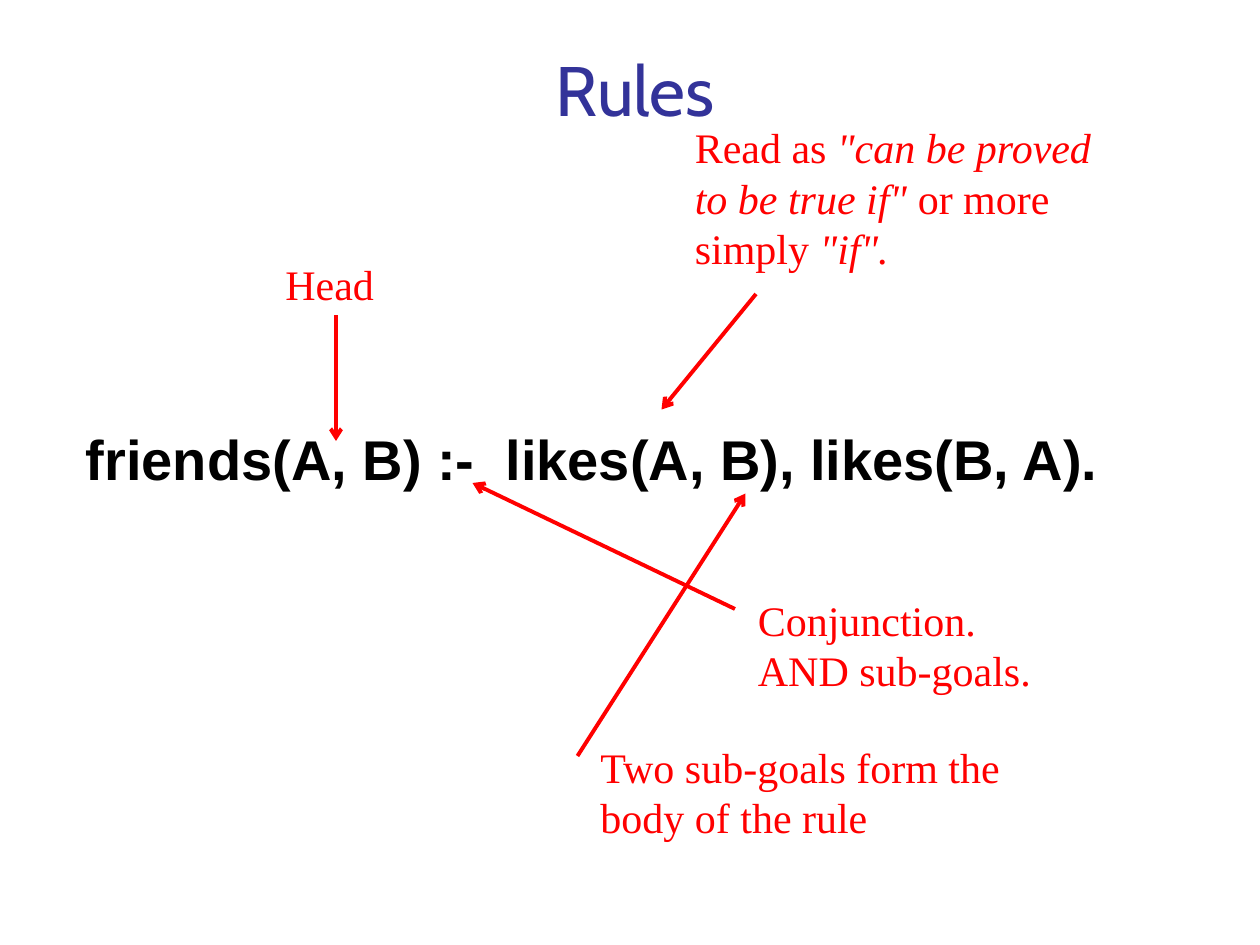
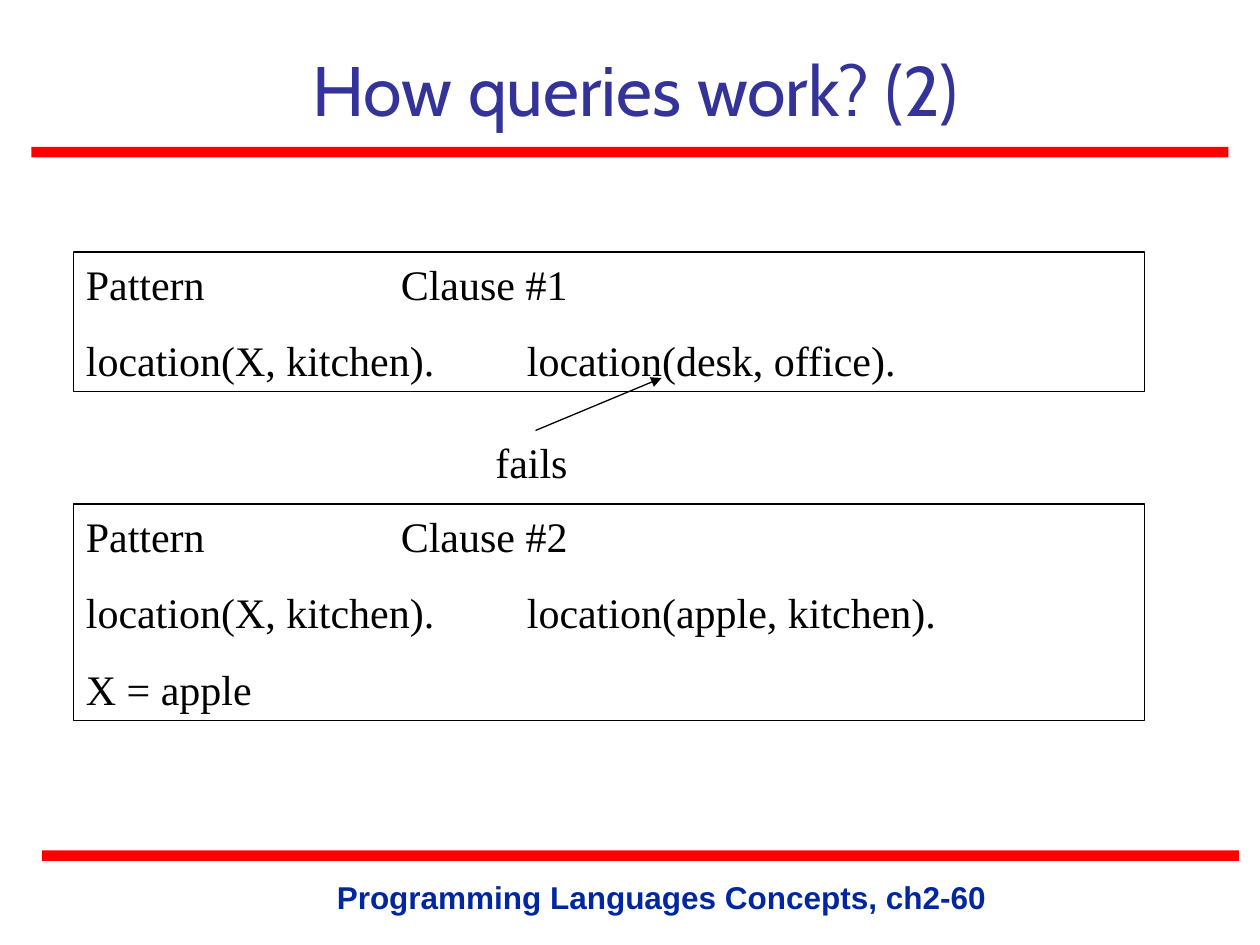
import pptx
import pptx.util
import pptx.dml.color
import pptx.enum.shapes
import pptx.enum.text
import pptx.oxml.ns
import lxml.etree

RED = pptx.dml.color.RGBColor(0xFF, 0x00, 0x00)
BLACK = pptx.dml.color.RGBColor(0x00, 0x00, 0x00)
INDIGO = pptx.dml.color.RGBColor(0x33, 0x33, 0x99)
NAVY = pptx.dml.color.RGBColor(0x00, 0x27, 0x9F)

ALIGN = pptx.enum.text.PP_ALIGN
ANCHOR = pptx.enum.text.MSO_ANCHOR
SHAPE = pptx.enum.shapes.MSO_SHAPE
COLUMNS, ROWS = 120, 90

TITLE = dict(name="Cabin", size=40, color=INDIGO)
CODE = dict(name="Arial", size=32, color=BLACK, bold=True)
FOOTER = dict(name="Arial", size=18, color=NAVY, bold=True)
NOTE = dict(name="Times New Roman", size=24, color=RED)
CLAUSE = dict(NOTE, color=BLACK)


class Deck:
    def __init__(self):
        self.presentation = pptx.Presentation()
        self.presentation.slide_width = pptx.util.Inches(10)
        self.presentation.slide_height = pptx.util.Inches(7.5)
        self.slide = None

    def add_slide(self, title):
        self.slide = self.presentation.slides.add_slide(self.presentation.slide_layouts[6])
        self.text((15, 3, 91, 10), [title], TITLE, align=ALIGN.CENTER, anchor=ANCHOR.BOTTOM)

    def scale(self, *lengths):
        units = (self.presentation.slide_width / COLUMNS, self.presentation.slide_height / ROWS)
        return [round(length * units[index % 2]) for index, length in enumerate(lengths)]

    def fill_text(self, shape, paragraphs, style, space=0, align=ALIGN.LEFT, anchor=ANCHOR.TOP, hanging=0):
        frame = shape.text_frame
        frame.word_wrap = True
        frame.vertical_anchor = anchor
        for index, content in enumerate(paragraphs):
            paragraph = frame.paragraphs[0] if index == 0 else frame.add_paragraph()
            paragraph.alignment = align
            paragraph.space_before = pptx.util.Pt(space)
            if hanging:
                indent = pptx.util.Inches(hanging)
                properties = paragraph._p.get_or_add_pPr()
                properties.set("marL", str(indent))
                properties.set("indent", str(-indent))
            parts = [content] if isinstance(content, str) else content
            for position, part in enumerate(parts):
                run = paragraph.add_run()
                run.text = part
                formats = dict(style, size=pptx.util.Pt(style["size"]), italic=position % 2 == 1)
                run.font.color.rgb = formats.pop("color")
                for name, value in formats.items():
                    setattr(run.font, name, value)

    def text(self, place, paragraphs, style, **layout):
        self.fill_text(self.slide.shapes.add_textbox(*self.scale(*place)), paragraphs, style, **layout)

    def rectangle(self, place):
        shape = self.slide.shapes.add_shape(SHAPE.RECTANGLE, *self.scale(*place))
        shape.shadow.inherit = False
        return shape

    def band(self, place):
        shape = self.rectangle(place)
        shape.fill.solid()
        shape.fill.fore_color.rgb = RED
        shape.line.fill.background()

    def clause_box(self, place, paragraphs):
        shape = self.rectangle(place)
        shape.fill.background()
        shape.line.color.rgb = BLACK
        shape.line.width = pptx.util.Pt(0.74)
        self.fill_text(shape, paragraphs, CLAUSE, space=15)

    def arrow(self, start, end, color, width, head):
        connector = self.slide.shapes.add_connector(
            pptx.enum.shapes.MSO_CONNECTOR.STRAIGHT, *self.scale(*start, *end))
        connector.line.color.rgb = color
        connector.line.width = pptx.util.Pt(width)
        qualify = pptx.oxml.ns.qn
        lxml.etree.SubElement(connector.line._get_or_add_ln(), qualify("a:tailEnd"), type=head)
        lxml.etree.SubElement(connector._element.spPr, qualify("a:effectLst"))

    def frame(self, footer):
        self.band((3, 14, 114, 1))
        self.band((4, 81, 114, 1))
        self.text((26, 83, 74, 4.8), [footer], FOOTER, space=11.2, align=ALIGN.CENTER)


deck = Deck()

deck.add_slide("Rules")
deck.text((7, 39.8, 109, 25), ["friends(A, B) :-  likes(A, B), likes(B, A)."], CODE, space=8, hanging=0.38)
for place, note in [
    ((26, 24, 25, 6), "Head"),
    ((65, 11, 42, 15.6), ["Read as ", '"can be proved to be true if"', " or more simply ", '"if".']),
    ((71, 56, 31, 10.8), "Conjunction. AND sub-goals."),
    ((56, 70, 43, 10.8), "Two sub-goals form the body of the rule"),
]:
    deck.text(place, [note], NOTE, space=15)
for start, end in [
    ((32, 30), (32, 42)),
    ((72, 28), (63, 39)),
    ((70, 58), (45, 46)),
    ((55, 72), (71, 47)),
]:
    deck.arrow(start, end, RED, 2.24, "arrow")

deck.add_slide("How queries work? (2)")
deck.frame("Programming Languages Concepts, ch2-60")
deck.clause_box((7, 24, 102, 13.3), [
    "Pattern\t\t\t\tClause #1",
    "location(X, kitchen).\t\tlocation(desk, office).",
])
deck.arrow((51, 41), (63, 36), BLACK, 0.74, "triangle")
deck.text((46, 41, 12, 6), ["fails"], CLAUSE, space=15)
deck.clause_box((7, 48, 102, 20.6), [
    "Pattern\t\t\t\tClause #2",
    "location(X, kitchen).\t\tlocation(apple, kitchen).",
    "X = apple",
])

deck.presentation.save("out.pptx")
